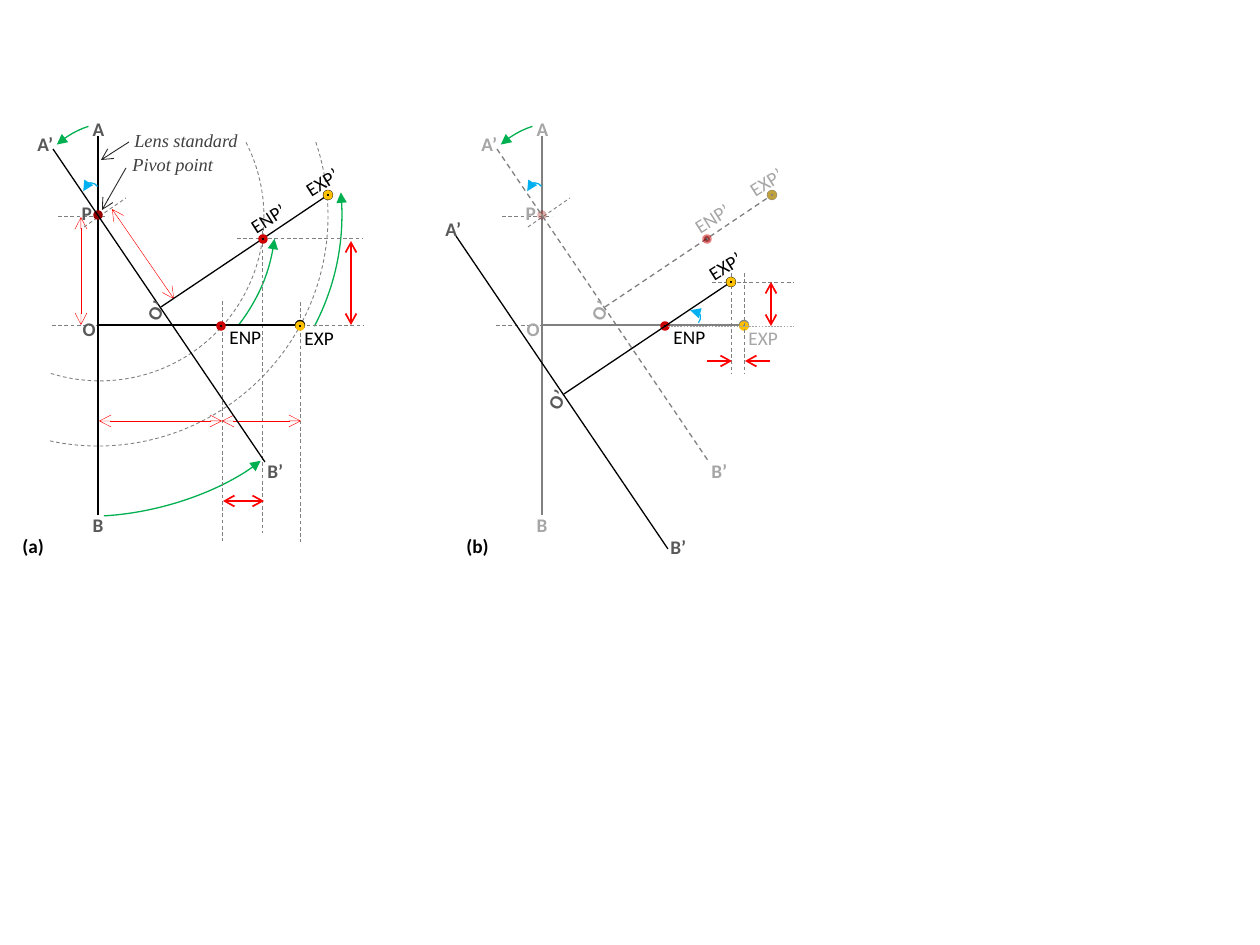
"""Build the slide of two ray diagrams for a lens standard tilted about a pivot."""
from dataclasses import dataclass, replace
from typing import Any, NamedTuple, Optional

from lxml import etree
from pptx import Presentation
from pptx import util as u
from pptx.dml.color import RGBColor
from pptx.enum import dml, shapes
from pptx.oxml import ns

PX = 914400 // 126


@dataclass(frozen=True)
class Theme:
    sans: str = "Calibri"
    serif: str = "Times New Roman"
    body: float = 11
    note: float = 10.5
    black: str = "000000"
    strong: str = "595959"
    faded: str = "A6A6A6"
    gray: str = "808080"
    note_ink: str = "404040"
    pointer: str = "262626"
    red: str = "FF0000"
    green: str = "00B050"
    blue: str = "00B0F0"
    entrance: str = "CC0000"
    exit: str = "FFC000"
    pivot: str = "960000"


THEME = Theme()


class Stroke(NamedTuple):
    color: str
    width: float
    dash: bool = False
    head: Optional[str] = None
    tail: Optional[str] = None
    alpha: int = 100


class Line(NamedTuple):
    x1: int
    y1: int
    x2: int
    y2: int


class Arc(NamedTuple):
    x: int
    y: int
    width: int
    height: int
    start: float
    end: float
    rotation: float = 0
    flip: bool = False


class Label(NamedTuple):
    text: str
    x: int
    y: int
    width: int
    height: int = 34
    bold: bool = True
    rotation: float = 0


class Look(NamedTuple):
    ink: str
    tilted: Stroke
    text: str
    pupil_text: str
    alpha: int
    stops: tuple


GUIDE = Stroke(THEME.gray, 0.5, dash=True)
SOLID = Stroke(THEME.black, 0.75)
SWING = Stroke(THEME.green, 0.75, tail="triangle")
SWING_BACK = Stroke(THEME.green, 0.75, head="triangle")
ANGLE = Stroke(THEME.blue, 0.75, tail="triangle")
DISTANCE = Stroke(THEME.red, 0.25, head="arrow", tail="arrow")
SHIFT = Stroke(THEME.red, 1, head="arrow", tail="arrow")
SHIFT_IN = Stroke(THEME.red, 1, tail="arrow")
POINTER = Stroke(THEME.pointer, 0.5, tail="arrow")
PANEL_STEP = 444
MOVED = (403, 87)

CLEAR = Look(THEME.black, SOLID, THEME.strong, THEME.black, 100,
             ((0, "E46C0A", 31), (50, "FAC090", 32), (100, "E1E8F5", 10)))
FADED = Look(THEME.gray, Stroke(THEME.gray, 0.75, dash=True), THEME.faded, THEME.faded, 50,
             ((0, "E46C0A", 8), (50, "FAC090", 18), (100, "E1E8F5", 10)))

PANEL_GUIDES = (Line(84, 227, 126, 198), Line(58, 216, 108, 216), Line(52, 325, 102, 325))
PANEL_LABELS = (
    Label("O", 72, 308, 23), Label("A’", 25, 123, 42), Label("A", 82, 108, 23),
    Label("B", 82, 504, 23), Label("B’", 255, 450, 49), Label("P", 71, 192, 23),
    Label("O’", 130, 291, 45, rotation=298),
)
PUPIL_LABELS = (
    Label("ENP’", 236, 197, 63, 39, False, 327.6), Label("EXP’", 291, 160, 63, 39, False, 327.6),
    Label("EXP", 292, 317, 67, 30, False),
)


def add_alpha(color_parent: Any, alpha: int) -> None:
    """Make the colour under an element partly transparent."""
    if alpha < 100:
        color = color_parent.find(".//" + ns.qn("a:srgbClr"))
        etree.SubElement(color, ns.qn("a:alpha"), val=str(alpha * 1000))


def apply_stroke(shape: Any, stroke: Stroke) -> None:
    """Set colour, width, dash and arrowheads of an outline."""
    line = shape.line
    line.color.rgb = RGBColor.from_string(stroke.color)
    line.width = u.Pt(stroke.width)
    if stroke.dash:
        line.dash_style = dml.MSO_LINE.DASH
    element = shape._element.spPr.find(ns.qn("a:ln"))
    add_alpha(element, stroke.alpha)
    for tag, kind in (("a:headEnd", stroke.head), ("a:tailEnd", stroke.tail)):
        if kind:
            etree.SubElement(element, ns.qn(tag), type=kind)


def draw_line(group: Any, line: Line, stroke: Stroke, dx: int = 0, dy: int = 0) -> None:
    """Draw a straight connector."""
    connector = group.shapes.add_connector(
        shapes.MSO_CONNECTOR.STRAIGHT, (line.x1 + dx) * PX, (line.y1 + dy) * PX,
        (line.x2 + dx) * PX, (line.y2 + dy) * PX)
    apply_stroke(connector, stroke)
    etree.SubElement(connector._element.spPr, ns.qn("a:effectLst"))


def draw_arc(group: Any, arc: Arc, stroke: Stroke, dx: int = 0) -> None:
    """Draw an open arc."""
    shape = group.shapes.add_shape(shapes.MSO_SHAPE.ARC, (arc.x + dx) * PX, arc.y * PX,
                                   arc.width * PX, arc.height * PX)
    shape.shadow.inherit = False
    shape.adjustments[0], shape.adjustments[1] = arc.start, arc.end
    shape.rotation = arc.rotation
    shape.fill.background()
    if arc.flip:
        shape._element.spPr.xfrm.set("flipH", "1")
    apply_stroke(shape, stroke)


def draw_dot(group: Any, x: int, y: int, ring: Optional[Stroke] = None,
             core: Optional[str] = None, alpha: int = 100, stops: tuple = ()) -> None:
    """Draw a small circle as a ring, a filled core or a gradient spot."""
    shape = group.shapes.add_shape(shapes.MSO_SHAPE.OVAL, x * PX, y * PX, 6 * PX, 6 * PX)
    shape.shadow.inherit = False
    if stops:
        shape.fill.gradient()
        shape.fill.gradient_angle = 270
        stop_list = shape._element.spPr.find(".//" + ns.qn("a:gsLst"))
        for stop in list(stop_list):
            stop_list.remove(stop)
        for position, color, opacity in stops:
            stop = etree.SubElement(stop_list, ns.qn("a:gs"), pos=str(position * 1000))
            etree.SubElement(stop, ns.qn("a:srgbClr"), val=color)
            add_alpha(stop, opacity)
    elif core:
        shape.fill.solid()
        shape.fill.fore_color.rgb = RGBColor.from_string(core)
        add_alpha(shape._element.spPr.find(ns.qn("a:solidFill")), alpha)
    else:
        shape.fill.background()
    if ring:
        apply_stroke(shape, ring)
    else:
        shape.line.fill.background()


def draw_label(group: Any, label: Label, color: str, dx: int = 0, note: bool = False) -> None:
    """Write one label."""
    box = group.shapes.add_textbox((label.x + dx) * PX, label.y * PX,
                                   label.width * PX, label.height * PX)
    box.rotation = label.rotation
    box.text_frame.word_wrap = True
    paragraph = box.text_frame.paragraphs[0]
    paragraph.line_spacing = 1.15
    run = paragraph.add_run()
    run.text = label.text
    formats = {"name": THEME.serif if note else THEME.sans, "bold": label.bold, "italic": note,
               "size": u.Pt(THEME.note if note else THEME.body)}
    for name, value in formats.items():
        setattr(run.font, name, value)
    run.font.color.rgb = RGBColor.from_string(color)


def draw_tilted(group: Any, stroke: Stroke, dx: int, dy: int = 0, alpha: int = 100) -> None:
    """Draw a tilted standard with its axis and exit pupil."""
    draw_line(group, Line(53, 149, 265, 462), stroke, dx, dy)
    draw_line(group, Line(161, 307, 328, 195), stroke._replace(tail="oval"), dx, dy)
    draw_dot(group, 325 + dx, 192 + dy, Stroke(THEME.exit, 2, alpha=alpha))


def draw_panel(group: Any, look: Look, dx: int) -> None:
    """Draw the upright and tilted standards that both panels share."""
    for guide in PANEL_GUIDES:
        draw_line(group, guide, GUIDE, dx)
    upright = Stroke(look.ink, 0.75)
    draw_line(group, Line(98, 136, 98, 515), upright, dx)
    draw_line(group, Line(98, 325, 300, 325), upright._replace(tail="oval"), dx)
    draw_arc(group, Arc(83, 183, 16, 15, 144.24, 20.84, 29, True), ANGLE, dx)
    draw_arc(group, Arc(32, 132, 101, 55, 136.06, 178.06, 326.9, True), SWING, dx)
    draw_dot(group, 95 + dx, 212, Stroke(THEME.pivot, 2, alpha=28 if look.alpha < 100 else 100),
             stops=look.stops)
    draw_tilted(group, look.tilted, dx, alpha=look.alpha)
    for x, y, alpha in ((260, 236, look.alpha), (218, 323, 100)):
        draw_dot(group, x + dx, y, core=THEME.black, alpha=alpha)
        draw_dot(group, x + dx, y, Stroke(THEME.entrance, 2, alpha=alpha))
    draw_dot(group, 297 + dx, 323, Stroke(THEME.exit, 2))
    for labels, color in ((PANEL_LABELS, look.text), (PUPIL_LABELS, look.pupil_text)):
        for label in labels:
            draw_label(group, label, color, dx)
    draw_label(group, Label("ENP", 217, 316, 67, 30, False), THEME.black, dx)


def draw_rotation(group: Any) -> None:
    """Draw the swing arcs, distances and notes of panel (a)."""
    for arc, stroke in (
            (Arc(-132, -14, 460, 460, 204.76, 61.24), GUIDE),
            (Arc(-136, -24, 478, 478, 212.75, 16.65), SWING_BACK),
            (Arc(-77, 40, 353, 353, 4.36, 22.6), SWING_BACK),
            (Arc(-64, 53, 328, 328, 199.77, 64.7), GUIDE),
            (Arc(4, 381, 290, 127, 133.74, 202.15, 165.2, True), SWING)):
        draw_arc(group, arc, stroke)
    for stroke, lines in (
            (GUIDE, (Line(300, 302, 300, 542), Line(238, 325, 364, 325), Line(262, 231, 262, 533),
                     Line(237, 238, 363, 238), Line(222, 301, 222, 541))),
            (DISTANCE, (Line(222, 421, 99, 421), Line(301, 421, 222, 421),
                        Line(81, 217, 81, 325), Line(112, 209, 174, 299))),
            (SHIFT, (Line(264, 501, 223, 501), Line(351, 241, 351, 325))),
            (POINTER, (Line(126, 168, 102, 210), Line(129, 142, 101, 160)))):
        for line in lines:
            draw_line(group, line, stroke)
    for label in (Label("Lens standard", 122, 120, 147, 40, False),
                  Label("Pivot point", 120, 144, 123, 40, False)):
        draw_label(group, label, THEME.note_ink, note=True)


def draw_translation(group: Any) -> None:
    """Draw the moved standard and the remaining shifts of panel (b)."""
    for stroke, lines in (
            (GUIDE, (Line(712, 282, 794, 282), Line(745, 273, 745, 374), Line(731, 273, 731, 374))),
            (Stroke(THEME.faded, 0.25, dash=True), (Line(668, 326, 794, 326),)),
            (SHIFT_IN, (Line(770, 361, 745, 361), Line(707, 361, 732, 361))),
            (SHIFT, (Line(771, 282, 771, 326),))):
        for line in lines:
            draw_line(group, line, stroke)
    draw_tilted(group, SOLID, *MOVED)
    draw_arc(group, Arc(685, 310, 16, 15, 144.24, 20.84, 104, True), ANGLE)
    for label in (Label("A’", 433, 208, 42), Label("O’", 531, 380, 45, rotation=298),
                  Label("B’", 658, 526, 49)):
        draw_label(group, label, THEME.strong)
    draw_label(group, Label("EXP’", 694, 244, 63, 39, False, 327.6), THEME.black)


def main() -> None:
    """Build and save the presentation."""
    presentation = Presentation()
    presentation.slide_width, presentation.slide_height = u.Inches(10), u.Inches(7.5)
    slide = presentation.slides.add_slide(presentation.slide_layouts[6])
    group = slide.shapes.add_group_shape()
    draw_rotation(group)
    draw_panel(group, CLEAR, 0)
    draw_panel(group, FADED, PANEL_STEP)
    draw_translation(group)
    for text, dx in (("(a)", 0), ("(b)", PANEL_STEP)):
        draw_label(group, Label(text, 10, 525, 53), THEME.black, dx)
    presentation.save("out.pptx")


if __name__ == "__main__":
    main()
